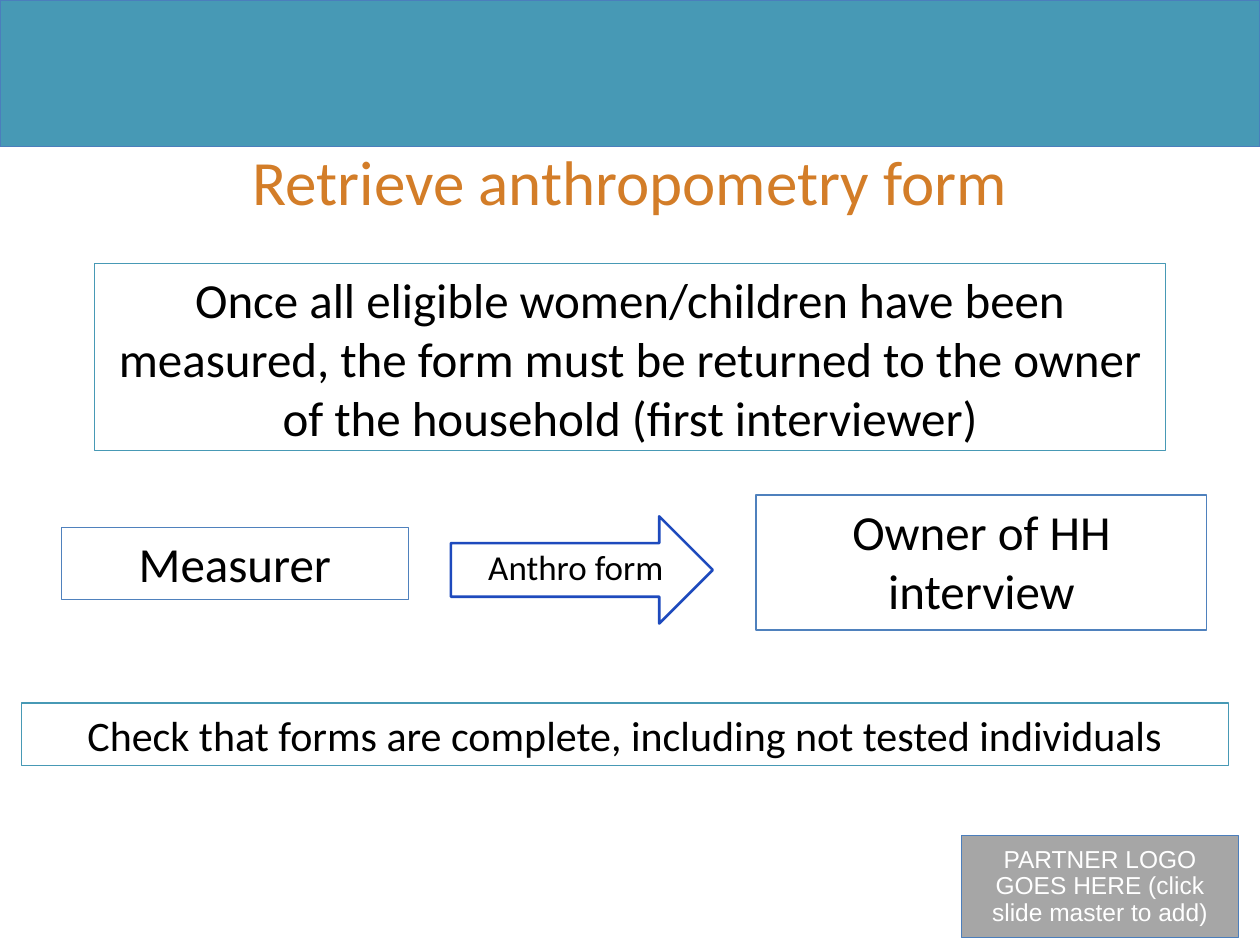
from dataclasses import dataclass
from typing import Optional

from pptx import Presentation
from pptx.dml.color import RGBColor
from pptx.enum import shapes, text
from pptx.util import Cm, Pt

TEAL = RGBColor(0x47, 0x99, 0xB5)
EDGE = RGBColor(0x4B, 0x7E, 0xBC)
BLUE = RGBColor(0x4F, 0x81, 0xBD)
ROYAL = RGBColor(0x1E, 0x4A, 0xBD)
GREY = RGBColor(0xA6, 0xA6, 0xA6)
ORANGE = RGBColor(0xD3, 0x7D, 0x28)
BLACK = RGBColor(0, 0, 0)
WHITE = RGBColor(0xFF, 0xFF, 0xFF)

RECT = shapes.MSO_SHAPE.RECTANGLE
ARROW = shapes.MSO_SHAPE.RIGHT_ARROW
TOP = text.MSO_ANCHOR.TOP
MIDDLE = text.MSO_ANCHOR.MIDDLE


@dataclass
class Label:
    words: str
    size: float
    color: RGBColor = BLACK
    font: str = "Calibri"
    anchor: text.MSO_ANCHOR = TOP
    pitch: Optional[float] = None


@dataclass
class Box:
    """A place in centimetres; without a line it is a plain text box."""
    left: float
    top: float
    width: float
    height: float
    label: Optional[Label] = None
    line: Optional[RGBColor] = None
    fill: Optional[RGBColor] = None
    kind: shapes.MSO_SHAPE = RECT
    weight: float = 0.75


def write(frame, label: Label) -> None:
    frame.word_wrap = True
    frame.vertical_anchor = label.anchor
    para = frame.paragraphs[0]
    para.alignment = text.PP_ALIGN.CENTER
    if label.pitch:
        para.line_spacing = Pt(label.pitch)
    run = para.add_run()
    run.text = label.words
    run.font.name = label.font
    run.font.size = Pt(label.size)
    run.font.color.rgb = label.color


def draw(slide, box: Box) -> None:
    place = [Cm(n) for n in (box.left, box.top, box.width, box.height)]
    if box.line is None:
        shape = slide.shapes.add_textbox(*place)
    else:
        shape = slide.shapes.add_shape(box.kind, *place)
        shape.shadow.inherit = False
        shape.line.color.rgb = box.line
        shape.line.width = Pt(box.weight)
        if box.fill is None:
            shape.fill.background()
        else:
            shape.fill.solid()
            shape.fill.fore_color.rgb = box.fill
    if box.label:
        write(shape.text_frame, box.label)


BOXES = [
    # Banner and partner panel
    Box(0, 0, 25.4, 2.95, line=EDGE, fill=TEAL),
    Box(19.38, 16.84, 5.59, 2.06,
        Label("PARTNER LOGO GOES HERE (click slide master to add)",
              14, WHITE, "Arial", MIDDLE, 15.2), EDGE, GREY),
    # Title and main message
    Box(1.9, 2.74, 21.6, 1.7, Label("Retrieve anthropometry form", 36, ORANGE)),
    Box(1.9, 5.31, 21.6, 3.78,
        Label("Once all eligible women/children have been measured, the form "
              "must be returned to the owner of the household "
              "(first interviewer)", 28), TEAL),
    # Hand-over from measurer to owner
    Box(15.24, 9.98, 9.09, 2.72, Label("Owner of HH interview", 28), BLUE),
    Box(1.24, 10.64, 6.99, 1.45, Label("Measurer", 28), BLUE),
    Box(9.09, 10.41, 5.28, 2.16, line=ROYAL, kind=ARROW, weight=1.5),
    Box(8.84, 10.87, 5.54, 1.45, Label("Anthro form", 20)),
    # Reminder
    Box(0.43, 14.17, 24.33, 1.27,
        Label("Check that forms are complete, including not tested "
              "individuals", 24), TEAL),
]


def main() -> None:
    deck = Presentation()
    deck.slide_width, deck.slide_height = Cm(25.4), Cm(19.05)
    slide = deck.slides.add_slide(deck.slide_layouts[6])
    for box in BOXES:
        draw(slide, box)
    deck.save("out.pptx")


if __name__ == "__main__":
    main()
